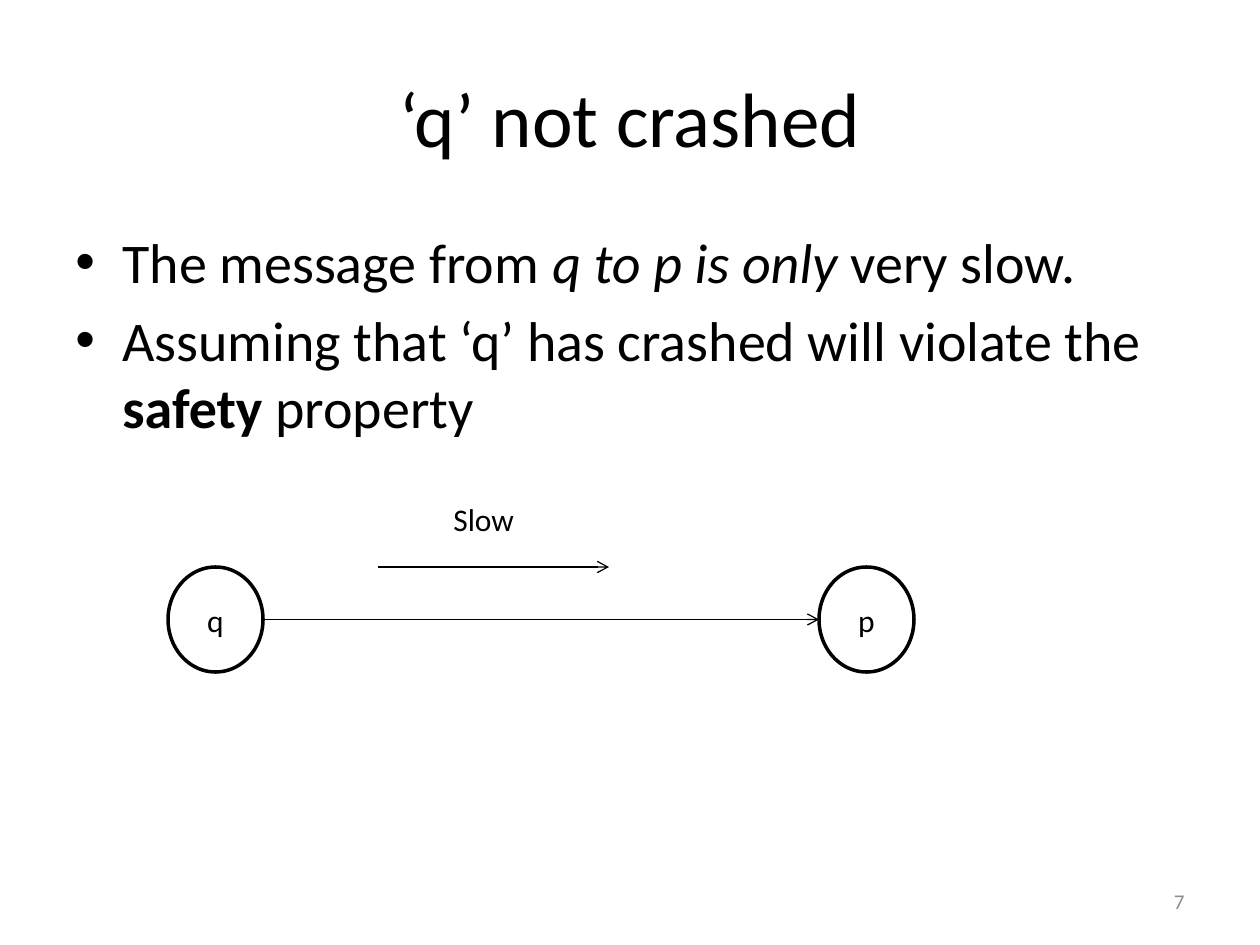
from lxml.etree import SubElement
from pptx import Presentation
from pptx.dml.color import RGBColor
from pptx.enum.shapes import MSO_CONNECTOR, MSO_SHAPE
from pptx.enum.text import MSO_ANCHOR, PP_ALIGN
from pptx.oxml.ns import qn
from pptx.util import Emu, Pt

PX_PER_INCH = 126
COLORS = {"ink": "000000", "muted": "8C8C8C", "paper": "FFFFFF"}


def px(n):
    return Emu(round(n * 914400 / PX_PER_INCH))


def rgb(name):
    return RGBColor.from_string(COLORS[name])


def add_text(p, text, size=18, color="ink", align=None, bold=False, italic=False):
    p.alignment = align
    r = p.add_run()
    r.text = text
    font = r.font
    font.name, font.size = "Calibri", Pt(size)
    font.bold, font.italic = bold, italic
    font.color.rgb = rgb(color)


def add_bullet(p, indent):
    pPr = p._p.get_or_add_pPr()
    pPr.set("marL", str(indent))
    pPr.set("indent", str(-indent))
    SubElement(pPr, qn("a:buFont"), typeface="Arial")
    SubElement(pPr, qn("a:buChar"), char="•")


class SlideBuilder:
    def __init__(self, prs):
        self.slide = prs.slides.add_slide(prs.slide_layouts[5])
        self.slide.background.fill.solid()
        self.slide.background.fill.fore_color.rgb = rgb("paper")
        self.shapes = self.slide.shapes

    def start_group(self):
        self.shapes = self.slide.shapes.add_group_shape().shapes

    def end_group(self):
        self.shapes = self.slide.shapes

    def title(self, text, x, y, w, h):
        sp = self.slide.shapes.title
        sp.left, sp.top, sp.width, sp.height = map(px, (x, y, w, h))
        tf = sp.text_frame
        tf.vertical_anchor = MSO_ANCHOR.MIDDLE
        add_text(tf.paragraphs[0], text, size=44, align=PP_ALIGN.CENTER)

    def text_box(self, x, y, w, h, anchor=MSO_ANCHOR.TOP):
        tf = self.shapes.add_textbox(*map(px, (x, y, w, h))).text_frame
        tf.word_wrap = True
        tf.vertical_anchor = anchor
        return tf

    def label(self, text, x, y, w, h, anchor=MSO_ANCHOR.TOP, **fmt):
        add_text(self.text_box(x, y, w, h, anchor).paragraphs[0], text, **fmt)

    def bullets(self, items, x, y, w, h):
        """Each item is a list of (text, format) runs."""
        tf = self.text_box(x, y, w, h)
        for i, runs in enumerate(items):
            p = tf.add_paragraph() if i else tf.paragraphs[0]
            add_bullet(p, px(47))
            if i:
                p.space_before = Pt(6.4)
            for text, fmt in runs:
                add_text(p, text, size=32, **fmt)

    def node(self, text, x, y, w, h):
        sp = self.shapes.add_shape(MSO_SHAPE.OVAL, *map(px, (x, y, w, h)))
        sp.shadow.inherit = False
        sp.fill.background()
        sp.line.color.rgb = rgb("ink")
        sp.line.width = Pt(2)
        tf = sp.text_frame
        tf.vertical_anchor = MSO_ANCHOR.MIDDLE
        add_text(tf.paragraphs[0], text, align=PP_ALIGN.CENTER)

    def arrow(self, x1, x2, y):
        line = self.shapes.add_connector(
            MSO_CONNECTOR.STRAIGHT, px(x1), px(y), px(x2), px(y))
        line.line.color.rgb = rgb("ink")
        line.line.width = Pt(0.75)
        SubElement(line.line._get_or_add_ln(), qn("a:tailEnd"), type="arrow")
        SubElement(line._element.spPr, qn("a:effectLst"))


def main():
    prs = Presentation()
    prs.slide_width, prs.slide_height = px(1260), px(945)
    s = SlideBuilder(prs)
    s.title("‘q’ not crashed", 63, 38, 1134, 157)
    s.bullets([
        [("The message from ", {}), ("q to p is only ", {"italic": True}),
         ("very slow.", {})],
        [("Assuming that ‘q’ has crashed will violate the ", {}),
         ("safety", {"bold": True}), (" property", {})],
    ], 63, 221, 1134, 262)

    node_w, node_h, node_y = 95, 105, 567
    q_x, p_x = 168, 819
    s.start_group()
    s.node("q", q_x, node_y, node_w, node_h)
    s.node("p", p_x, node_y, node_w, node_h)
    s.arrow(q_x + node_w, p_x, node_y + node_h / 2)
    s.arrow(378, 609, node_y)
    s.label("Slow", 441, 494, 116, 53)
    s.end_group()

    s.label("7", 903, 876, 294, 50, anchor=MSO_ANCHOR.MIDDLE,
            size=12, color="muted", align=PP_ALIGN.RIGHT)
    prs.save("out.pptx")


if __name__ == "__main__":
    main()
